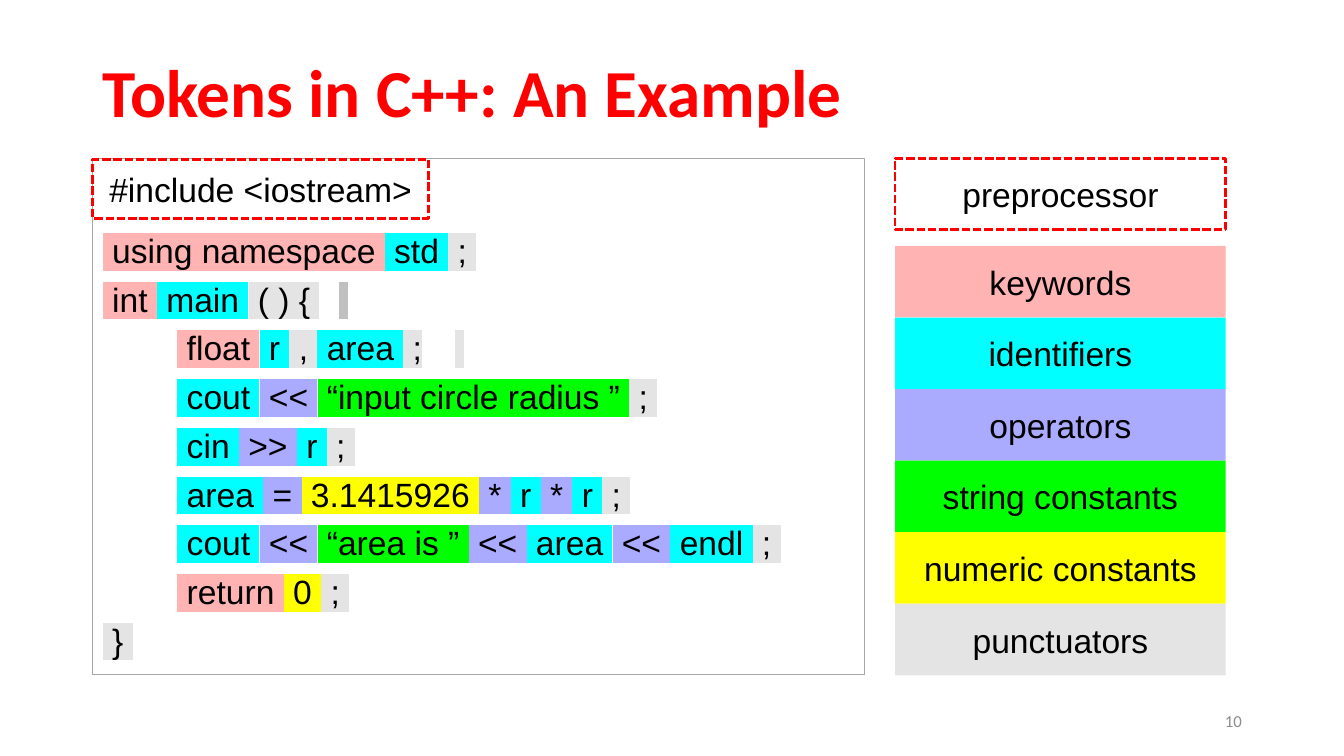
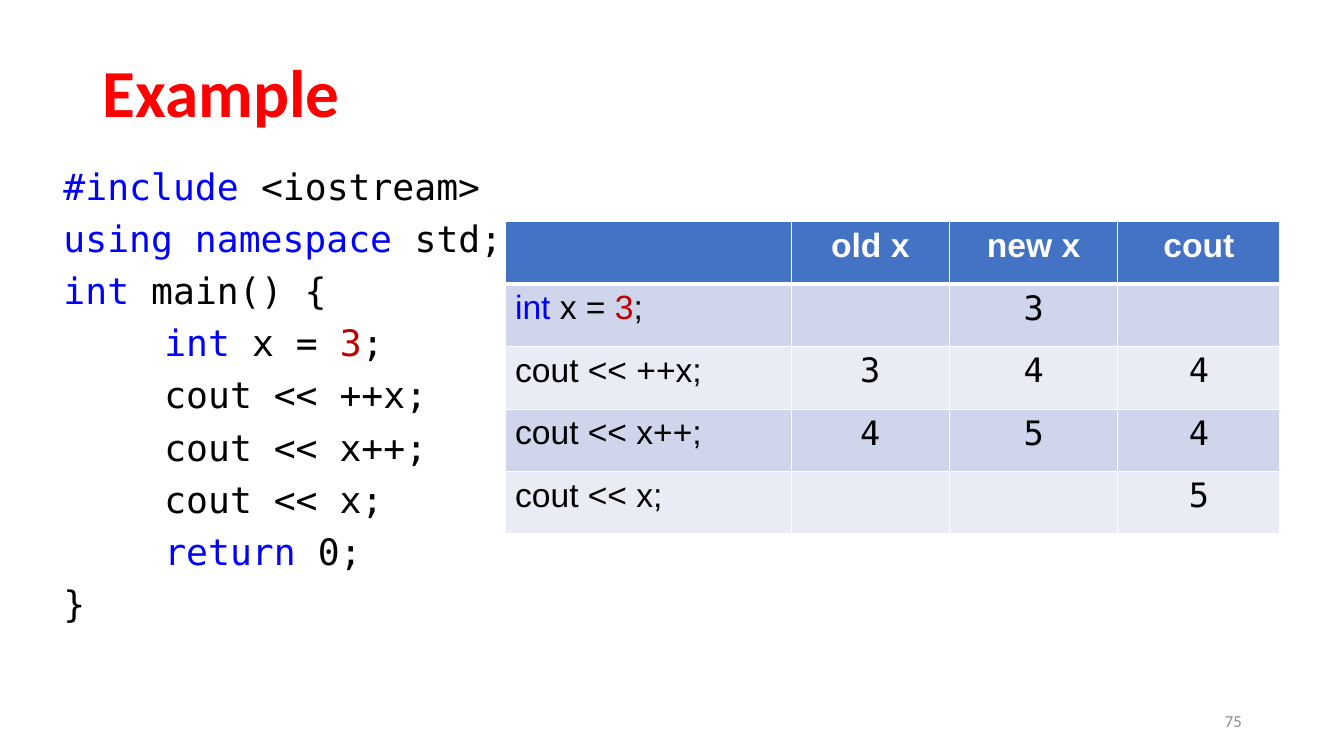
from lxml.etree import SubElement as Sub
from pptx import Presentation
from pptx.dml.color import RGBColor
from pptx.enum.dml import MSO_LINE as Dash
from pptx.enum.shapes import MSO_SHAPE as Kind
from pptx.enum.text import MSO_ANCHOR as Anchor, MSO_AUTO_SIZE as Fit, PP_ALIGN as Align
from pptx.oxml.ns import qn
from pptx.util import Emu, Pt

SCALE = 9144
BLACK, WHITE, RED, BLUE, BRICK = "000000", "FFFFFF", "FF0000", "0000FF", "C00000"
GREY, EDGE, BAR = "8C8C8C", "A6A6A6", "C0C0C0"
KEY, NAME, OP = "FFB3B3", "00FFFF", "AAAAFF"
STR, NUM, PUNC = "00FF00", "FFFF00", "E4E4E4"
HEAD, BANDS = "4472C4", ("CFD5EA", "E9EBF5")
SANS, MONO, TITLE = "Arial", "DejaVu Sans Mono", "Calibri"

LEGEND = {
    "keywords": KEY,
    "identifiers": NAME,
    "operators": OP,
    "string constants": STR,
    "numeric constants": NUM,
    "punctuators": PUNC,
}
INNER, END = "inner", (" ; ", PUNC)
TOKENS = [
    [(" using namespace ", KEY), (" std ", NAME), END],
    [(" int ", KEY), (" main ", NAME), (" ( ) { ", PUNC), (" ", 700), (" ", BAR)],
    [INNER, (" float ", KEY), (" r ", NAME), (" ", PUNC), (",", PUNC), (" ", PUNC),
     (" area ", NAME), (" ;", PUNC), (" ", 1700), (" ", PUNC)],
    [INNER, (" cout ", NAME), (" << ", OP), (" “input circle radius ” ", STR), END],
    [INNER, (" cin ", NAME), (" >> ", OP), (" r ", NAME), END],
    [INNER, (" area ", NAME), (" = ", OP), (" 3.1415926 ", NUM), (" * ", OP),
     (" r ", NAME), (" * ", OP), (" r ", NAME), END],
    [INNER, (" cout ", NAME), (" << ", OP), (" “area is ” ", STR), (" << ", OP),
     (" area ", NAME), (" << ", OP), (" endl ", NAME), END],
    [INNER, (" return ", KEY), (" 0 ", NUM), END],
    [(" } ", PUNC)],
]
ASSIGN = [("int", BLUE), (" x = ", BLACK), ("3", BRICK), (";", BLACK)]
STEPS = ["cout << ++x;", "cout << x++;", "cout << x;"]
SOURCE = [
    [("#include ", BLUE), ("<iostream>", BLACK)],
    [("using namespace ", BLUE), ("std;", BLACK)],
    [("int", BLUE), (" main() {", BLACK)],
    [INNER, *ASSIGN],
    *[[INNER, (step, BLACK)] for step in STEPS],
    [INNER, ("return", BLUE), (" 0;", BLACK)],
    "}",
]
TRACE = [
    ["", "old x", "new x", "cout"],
    [ASSIGN, "", "3", ""],
    [STEPS[0], "3", "4", "4"],
    [STEPS[1], "4", "5", "4"],
    [STEPS[2], "", "", "5"],
]


def px(n):
    return Emu(n * SCALE)


def rgb(code):
    return RGBColor.from_string(code)


def place(shape, box):
    shape.left, shape.top, shape.width, shape.height = map(px, box)


def mark(run, hue):
    props = run.font._element
    if isinstance(hue, int):
        props.set("spc", str(hue))
        return
    node = Sub(props, qn("a:highlight"))
    Sub(node, qn("a:srgbClr"), val=hue)
    props.find(qn("a:solidFill")).addnext(node)


def indent(para, wide):
    props = para._p.get_or_add_pPr()
    props.set("marL", str(px(wide)))
    props.set("indent", "0")
    Sub(props, qn("a:buNone"))


def write(frame, lines, size=24, font=SANS, color=BLACK, bold=False,
          align=Align.LEFT, gap=0, lead=1, inset=0, tint=False):
    for i, line in enumerate(lines):
        para = frame.add_paragraph() if i else frame.paragraphs[0]
        para.alignment, para.line_spacing = align, lead
        para.space_before, para.space_after = Pt(gap if i else 0), Pt(0)
        runs = [(line, None)] if isinstance(line, str) else line
        deep = runs[0] == INNER
        if inset:
            indent(para, inset if deep else 0)
        for text, hue in runs[deep:]:
            run = para.add_run()
            run.text = text
            run.font.size, run.font.name, run.font.bold = Pt(size), font, bold
            run.font.color.rgb = rgb(color if tint or not hue else hue)
            if tint and hue:
                mark(run, hue)


def block(slide, box, text, fill=None):
    shape = slide.shapes.add_shape(Kind.RECTANGLE, *map(px, box))
    shape.shadow.inherit = False
    if fill:
        shape.fill.solid()
        shape.fill.fore_color.rgb = rgb(fill)
    else:
        shape.fill.background()
    shape.line.fill.background()
    shape.text_frame.vertical_anchor = Anchor.MIDDLE
    write(shape.text_frame, [text], align=Align.CENTER)
    return shape


def dashed(slide, box, text):
    line = block(slide, box, text).line
    line.color.rgb = rgb(RED)
    line.width, line.dash_style = Pt(2), Dash.SQUARE_DOT


def code(slide, box, lines, top, **fmt):
    body = slide.placeholders[1]
    place(body, box)
    frame = body.text_frame
    frame.auto_size, frame.word_wrap = Fit.NONE, True
    frame.vertical_anchor, frame.margin_top = Anchor.TOP, px(top)
    write(frame, lines, gap=6, **fmt)
    return body


def legend(slide, box):
    x, y, w, h = box
    dashed(slide, (x, y, w, h), "preprocessor")
    y += h + 16
    for i, (text, hue) in enumerate(LEGEND.items()):
        block(slide, (x, y + i * h, w, h), text, hue)


def border(cell, **widths):
    props = cell._tc.get_or_add_tcPr()
    for side in "LRTB":
        line = Sub(props, qn("a:ln" + side), w=str(Pt(widths.get(side, 1))))
        Sub(Sub(line, qn("a:solidFill")), qn("a:srgbClr"), val=WHITE)


def trace(slide, x, y, cols, high):
    size = len(TRACE), len(cols)
    spot = map(px, (x, y, sum(cols), high * len(TRACE)))
    table = slide.shapes.add_table(*size, *spot).table
    for col, wide in zip(table.columns, cols):
        col.width = px(wide)
    for r, row in enumerate(TRACE):
        table.rows[r].height = px(high)
        for c, text in enumerate(row):
            cell = table.cell(r, c)
            border(cell, T=3 if r == 1 else 1, B=1 if r else 3)
            cell.fill.solid()
            cell.fill.fore_color.rgb = rgb(BANDS[(r - 1) % 2] if r else HEAD)
            if text:
                write(cell.text_frame, [text], bold=not r,
                      font=MONO if r and c else SANS,
                      color=BLACK if r else WHITE,
                      align=Align.CENTER if c else Align.LEFT)


def page(deck, title, num):
    slide = deck.slides.add_slide(deck.slide_layouts[1])
    head = slide.shapes.title
    place(head, (92, 40, 1150, 110))
    head.text_frame.vertical_anchor = Anchor.MIDDLE
    write(head.text_frame, [title], size=48, font=TITLE, color=RED, bold=True, lead=0.9)
    foot = slide.shapes.add_textbox(*map(px, (942, 695, 300, 40))).text_frame
    foot.word_wrap, foot.vertical_anchor = True, Anchor.MIDDLE
    write(foot, [num], size=12, font=TITLE, color=GREY, align=Align.RIGHT)
    return slide


def tokens(deck):
    slide = page(deck, "Tokens in C++: An Example", "10")
    body = code(slide, (92, 157, 766, 512), TOKENS, 71, inset=74, tint=True)
    body.line.color.rgb, body.line.width = rgb(EDGE), Pt(0.75)
    legend(slide, (888, 157, 328, 71))
    dashed(slide, (92, 158, 333, 59), "#include <iostream>")


def example(deck):
    slide = page(deck, "Example", "75")
    code(slide, (53, 158, 1223, 504), SOURCE, 5, size=26, font=MONO, inset=100)
    trace(slide, 501, 220, (284, 157, 167, 161), 62)


def main():
    deck = Presentation()
    deck.slide_width, deck.slide_height = px(4000) // 3, px(750)
    tokens(deck)
    example(deck)
    deck.save("out.pptx")


if __name__ == "__main__":
    main()
